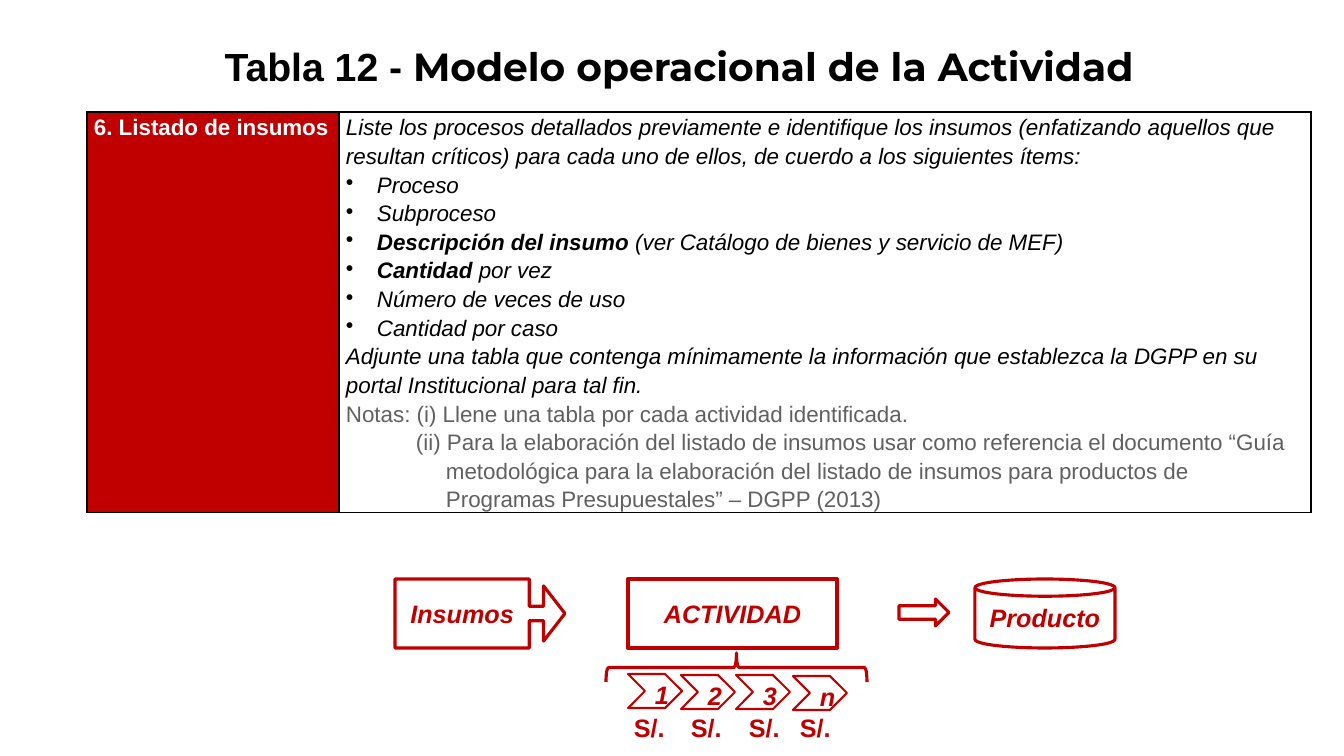
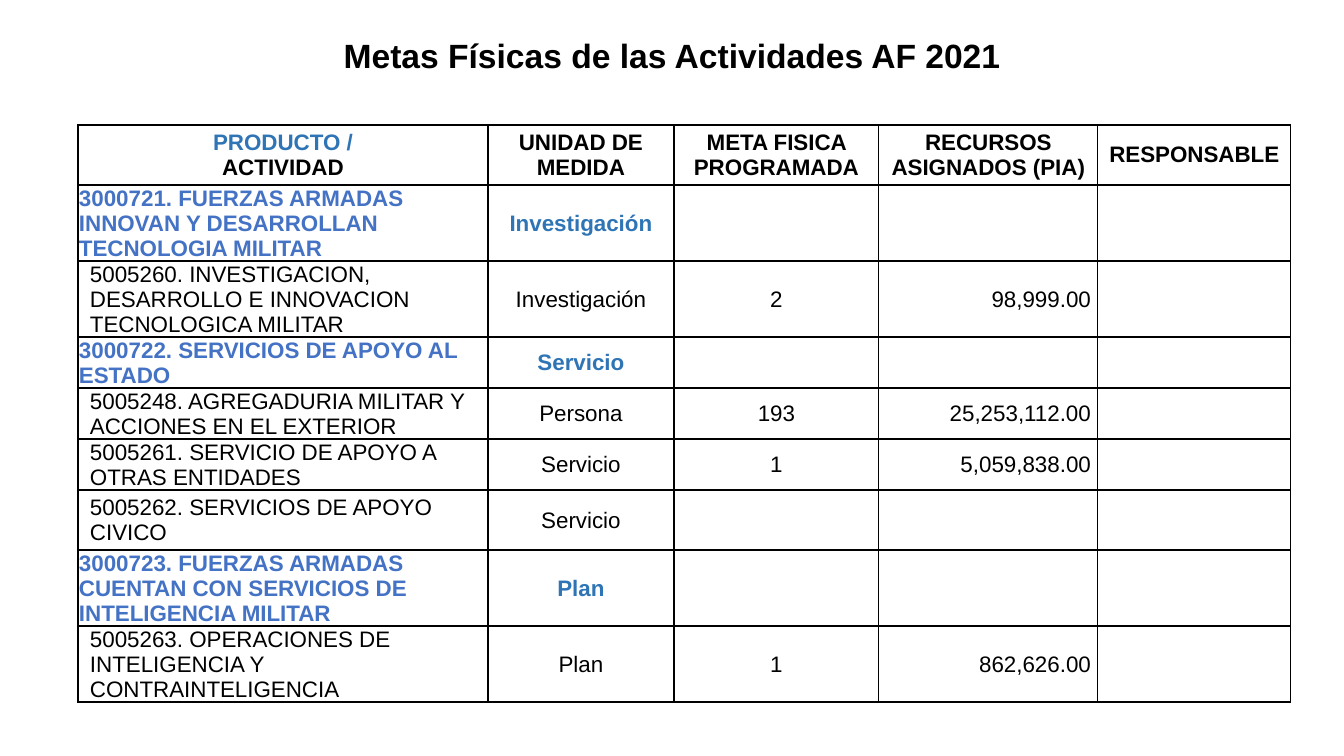
from dataclasses import dataclass

from lxml.etree import SubElement
from pptx import Presentation
from pptx.dml.color import RGBColor
from pptx.enum.shapes import MSO_SHAPE as Preset
from pptx.enum.text import MSO_ANCHOR as Anchor, MSO_AUTO_SIZE as AutoSize, PP_ALIGN as Align
from pptx.oxml.ns import qn
from pptx.util import Pt

PX = 914400 / 100.8


@dataclass(frozen=True)
class Theme:
    font: str = "Arial"
    accent_font: str = "Montserrat"
    black: str = "000000"
    white: str = "FFFFFF"
    red: str = "C00000"
    gray: str = "606060"
    blue: str = "2F75B5"
    product_blue: str = "4472C4"
    table_size: int = 16
    diagram_size: int = 18


theme = Theme()


def px(*lengths):
    return [round(length * PX) for length in lengths]


def add_span(para, text, size, color, bold=False, italic=False, font=theme.font):
    span = para.add_run()
    span.text = text
    span.font.name = font
    span.font.size = Pt(size)
    span.font.bold = bold
    span.font.italic = italic
    span.font.color.rgb = RGBColor.from_string(color)


deck = Presentation()
deck.slide_width, deck.slide_height = px(1344, 756)

# Titles and tables
titles = [
    ((163, 40, 1032, 51), 28, [("Tabla 12 - ", theme.font),
                               ("Modelo operacional de la Actividad", theme.accent_font)]),
    ((67, 30, 1210, 51), 24, [("Metas Físicas de las Actividades AF 2021", theme.font)]),
]
grids = [
    ((87, 112), [252, 972], [400]),
    ((78, 125), [410, 186, 205, 219, 193], [60, 76, 76, 51, 51, 51, 60, 76, 76]),
]
pages, tables = [], []
for (box, size, pieces), (corner, widths, heights) in zip(titles, grids):
    page = deck.slides.add_slide(deck.slide_layouts[5])
    pages.append(page)
    title = page.shapes.title
    title.left, title.top, title.width, title.height = px(*box)
    title.text_frame.auto_size = AutoSize.NONE
    title.text_frame.vertical_anchor = Anchor.MIDDLE
    para = title.text_frame.paragraphs[0]
    para.alignment = Align.CENTER
    for text, font in pieces:
        add_span(para, text, size, theme.black, bold=True, font=font)

    table = page.shapes.add_table(len(heights), len(widths),
                                  *px(*corner, sum(widths), sum(heights))).table
    tables.append(table)
    table.first_row = table.horz_banding = False
    for column, width in zip(table.columns, px(*widths)):
        column.width = width
    for row, height in zip(table.rows, px(*heights)):
        row.height = height
    for cell in table.iter_cells():
        properties = cell._tc.get_or_add_tcPr()
        for side in ("a:lnL", "a:lnR", "a:lnT", "a:lnB"):
            border = SubElement(properties, qn(side), w=str(Pt(1)))
            border_fill = SubElement(border, qn("a:solidFill"))
            SubElement(border_fill, qn("a:srgbClr"), val=theme.black)
        cell.fill.solid()
        cell.fill.fore_color.rgb = RGBColor.from_string(theme.white)

# Slide 1: list of inputs
label_cell, detail_cell = tables[0].iter_cells()
label_cell.fill.fore_color.rgb = RGBColor.from_string(theme.red)
for cell in (label_cell, detail_cell):
    cell.margin_left, cell.margin_right, cell.margin_top, cell.margin_bottom = px(7, 7, 0, 0)
label = label_cell.text_frame.paragraphs[0]
label.line_spacing = 1.15
add_span(label, "6. Listado de insumos", theme.table_size, theme.white, bold=True)

# Each entry: kind, bold lead, rest
details = [
    ("text", "", "Liste los procesos detallados previamente e identifique los insumos (enfatizando "
     "aquellos que resultan críticos) para cada uno de ellos, de cuerdo a los siguientes ítems:"),
    ("bullet", "", "Proceso"),
    ("bullet", "", "Subproceso"),
    ("bullet", "Descripción del insumo ", "(ver Catálogo de bienes y servicio de MEF)"),
    ("bullet", "Cantidad ", "por vez"),
    ("bullet", "", "Número de veces de uso"),
    ("bullet", "", "Cantidad por caso"),
    ("text", "", "Adjunte una tabla que contenga mínimamente la información que establezca la DGPP "
     "en su portal Institucional para tal fin."),
    ("note", "", "Notas: (i) Llene una tabla por cada actividad identificada."),
    ("hanging note", "", "(ii) Para la elaboración del listado de insumos usar como referencia el "
     "documento “Guía metodológica para la elaboración del listado de insumos para productos de "
     "Programas Presupuestales” – DGPP (2013)"),
]
indents = {"bullet": (31, -31), "hanging note": (100, -30)}
frame = detail_cell.text_frame
for index, (kind, lead, rest) in enumerate(details):
    para = frame.add_paragraph() if index else frame.paragraphs[0]
    if kind in indents:
        properties = para._p.get_or_add_pPr()
        margin, indent = px(*indents[kind])
        properties.set("marL", str(margin))
        properties.set("indent", str(indent))
        if kind == "bullet":
            SubElement(properties, qn("a:buChar"), char="•")
    para.line_spacing = 1.15
    is_note = kind.endswith("note")
    color = theme.gray if is_note else theme.black
    if lead:
        add_span(para, lead, theme.table_size, color, bold=True, italic=True)
    add_span(para, rest, theme.table_size, color, italic=not is_note)

# Slide 1: process diagram
diagram = [
    (Preset.FLOWCHART_PROCESS, (628, 579, 209, 69), 3, "ACTIVIDAD"),
    (Preset.RIGHT_ARROW_CALLOUT, (395, 579, 170, 69), 2.25, "Insumos"),
    (Preset.CAN, (975, 579, 140, 69), 2.25, "Producto"),
    (Preset.RIGHT_ARROW, (899, 599, 50, 27), 2.25, ""),
    (Preset.RIGHT_BRACE, (722, 537, 29, 261), 2.25, ""),
]
steps = [("1", 628, 674, 624), ("2", 681, 675, 681), ("3", 736, 675, 739), ("n", 793, 676, 790)]
diagram += [(Preset.CHEVRON, (left, top, 54, 34), 1.5, name) for name, left, top, _ in steps]
for preset, box, line_width, text in diagram:
    shape = pages[0].shapes.add_shape(preset, *px(*box))
    shape.shadow.inherit = False
    shape.line.color.rgb = RGBColor.from_string(theme.red)
    shape.line.width = Pt(line_width)
    if preset == Preset.RIGHT_BRACE:
        shape.fill.background()
        shape.rotation = 270
    else:
        shape.fill.solid()
        shape.fill.fore_color.rgb = RGBColor.from_string(theme.white)
    if preset == Preset.RIGHT_ARROW_CALLOUT:
        for index, ratio in enumerate((0.21, 0.4, 0.31, 0.79)):
            shape.adjustments[index] = ratio
    if text:
        is_step = preset == Preset.CHEVRON
        shape.text_frame.vertical_anchor = Anchor.TOP if is_step else Anchor.MIDDLE
        para = shape.text_frame.paragraphs[0]
        para.alignment = Align.CENTER
        add_span(para, text, theme.diagram_size, theme.red, bold=True, italic=True)

for _, _, _, left in steps:
    cost = pages[0].shapes.add_textbox(*px(left, 707, 52, 40))
    cost.text_frame.word_wrap = True
    add_span(cost.text_frame.paragraphs[0], "S/.", theme.diagram_size, theme.red, bold=True)

# Slide 2: physical targets
headers = ["PRODUCTO /\nACTIVIDAD", "UNIDAD DE MEDIDA", "META FISICA PROGRAMADA",
           "RECURSOS ASIGNADOS (PIA)", "RESPONSABLE"]
targets = [
    ("3000721. FUERZAS ARMADAS INNOVAN Y DESARROLLAN TECNOLOGIA MILITAR", "Investigación"),
    ("5005260. INVESTIGACION, DESARROLLO E INNOVACION TECNOLOGICA MILITAR", "Investigación",
     "2", "98,999.00"),
    ("3000722. SERVICIOS DE APOYO AL ESTADO", "Servicio"),
    ("5005248. AGREGADURIA MILITAR Y ACCIONES EN EL EXTERIOR", "Persona", "193", "25,253,112.00"),
    ("5005261. SERVICIO DE APOYO A OTRAS ENTIDADES", "Servicio", "1", "5,059,838.00"),
    ("5005262. SERVICIOS DE APOYO CIVICO", "Servicio"),
    ("3000723. FUERZAS ARMADAS CUENTAN CON SERVICIOS DE INTELIGENCIA MILITAR", "Plan"),
    ("5005263. OPERACIONES DE INTELIGENCIA Y CONTRAINTELIGENCIA", "Plan", "1", "862,626.00"),
]
for column, header in enumerate(headers):
    cell = tables[1].cell(0, column)
    cell.vertical_anchor = Anchor.MIDDLE
    for index, text in enumerate(header.split("\n")):
        para = cell.text_frame.add_paragraph() if index else cell.text_frame.paragraphs[0]
        para.alignment = Align.CENTER
        color = theme.blue if text.startswith("PRODUCTO") else theme.black
        add_span(para, text, theme.table_size, color, bold=True)

alignments = [Align.LEFT, Align.CENTER, Align.CENTER, Align.RIGHT]
for row, target in enumerate(targets, start=1):
    is_product = target[0].startswith("3")
    colors = [theme.product_blue, theme.blue] if is_product else [theme.black] * 4
    left_margins = [1 if is_product else 12, 1, 1, 1]
    for column, text in enumerate(target):
        cell = tables[1].cell(row, column)
        cell.vertical_anchor = Anchor.MIDDLE
        cell.margin_left, cell.margin_right, cell.margin_top, cell.margin_bottom = px(
            left_margins[column], 7 if column == 3 else 1, 1, 0)
        para = cell.text_frame.paragraphs[0]
        para.alignment = alignments[column]
        add_span(para, text, theme.table_size, colors[column], bold=is_product)

deck.save("out.pptx")
